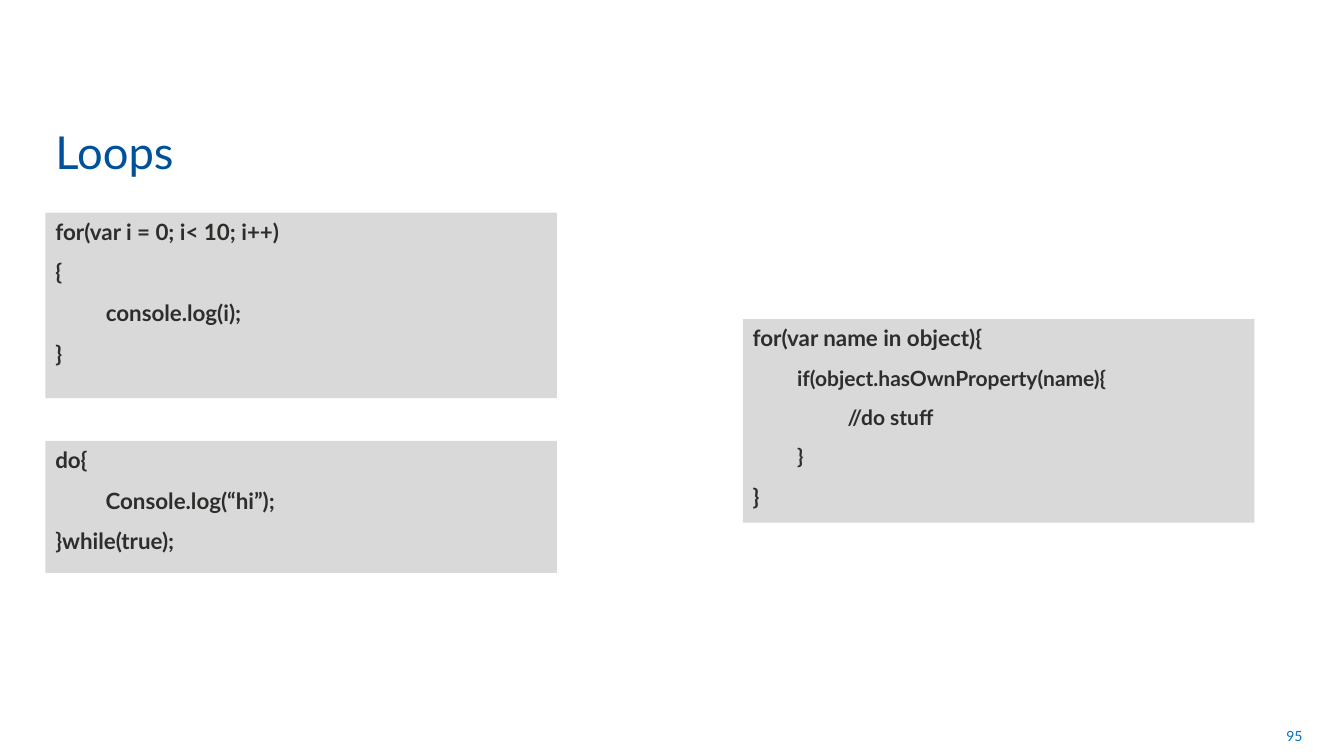
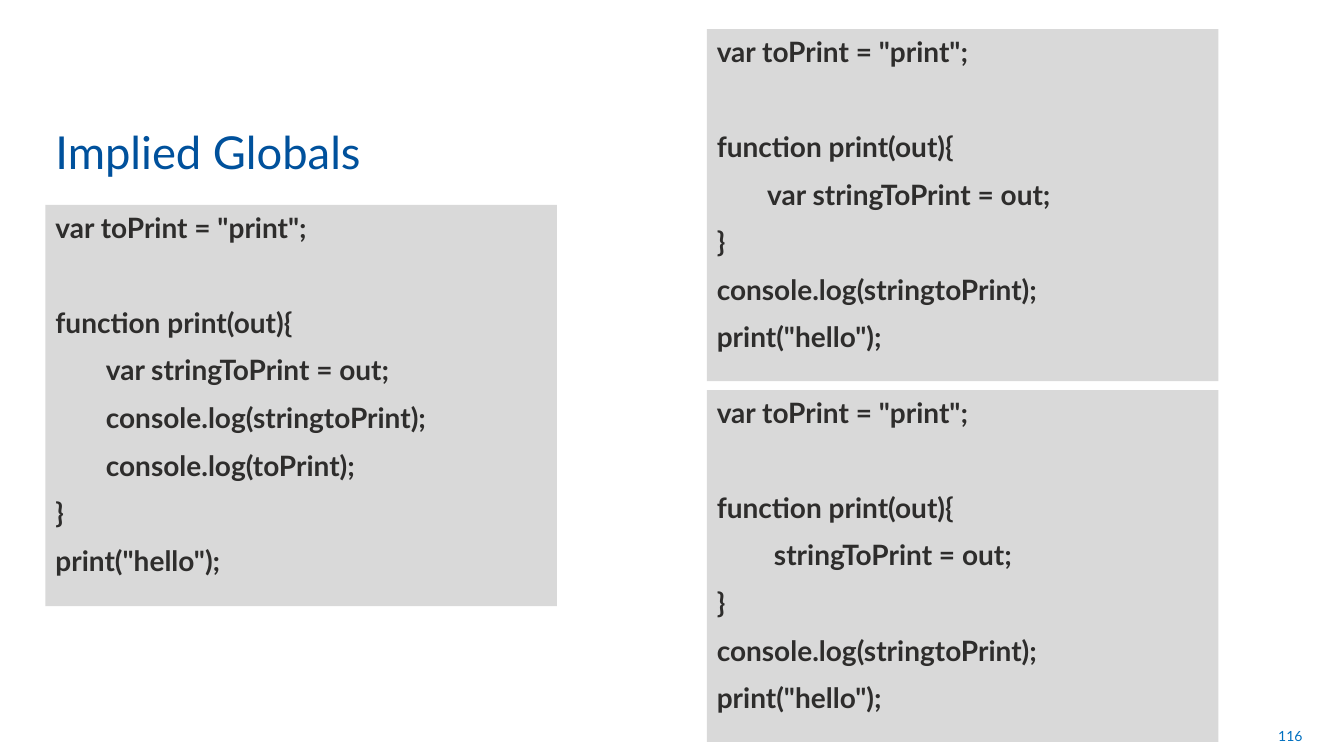
from pptx import Presentation
from pptx.dml.color import RGBColor
from pptx.enum.shapes import MSO_SHAPE
from pptx.enum.text import MSO_ANCHOR, MSO_AUTO_SIZE, PP_ALIGN
from pptx.oxml.ns import qn
from pptx.util import Pt
from lxml import etree

RECTANGLE = MSO_SHAPE.RECTANGLE
TOP, MIDDLE, BOTTOM = MSO_ANCHOR.TOP, MSO_ANCHOR.MIDDLE, MSO_ANCHOR.BOTTOM
LEFT, RIGHT = PP_ALIGN.LEFT, PP_ALIGN.RIGHT
NO_AUTOFIT = MSO_AUTO_SIZE.NONE

FONT = "Lato"
COLORS = {"title": "00519C", "number": "0070C0", "code": "2E2D2C", "panel": "D9D9D9"}
MARGIN = 32.4
TITLE_BOX = (MARGIN, 81.4, 718.6, 49.7)
NUMBER_BOX = (713.5, 511.2, 223.9, 28.8)
PANEL_WIDTH = 365.4
SPACE_BEFORE, SPACE_AFTER = 2, 8
LINE_HEIGHT = 1.2
NESTED_INDENT = 31.7

PRINT_START = ['var toPrint = "print";', "", "function print(out){"]
PRINT_CALL = 'print("hello");'
LOG_STRING = "console.log(stringtoPrint);"

SLIDES = [
    {
        "title": "Loops",
        "number": "95",
        "sizes": (16, 15),
        "panels": [
            {"box": (MARGIN, 151.9, PANEL_WIDTH, 132.5),
             "lines": ["for(var i = 0; i< 10; i++)", "{", "\tconsole.log(i);", "}"]},
            {"box": (MARGIN, 314.9, PANEL_WIDTH, 94.3),
             "lines": ["do{", "\tConsole.log(“hi”);", "}while(true);"]},
            {"box": (530.6, 228, PANEL_WIDTH, 145.4),
             "lines": ["for(var name in object){", "if(object.hasOwnProperty(name){",
                       "\t//do stuff", "}", "}"],
             "nested": (1, 2, 3)},
        ],
    },
    {
        "title": "Implied Globals",
        "number": "116",
        "sizes": (20, 20),
        "panels": [
            {"box": (MARGIN, 146.4, PANEL_WIDTH, 286.6),
             "lines": PRINT_START + ["\tvar stringToPrint = out;", "\t" + LOG_STRING,
                                     "\tconsole.log(toPrint);", "}", PRINT_CALL]},
            {"box": (504.9, 20.9, PANEL_WIDTH, 251.3),
             "lines": PRINT_START + ["\tvar stringToPrint = out;", "}", LOG_STRING, PRINT_CALL]},
            {"box": (504.9, 278.6, PANEL_WIDTH, 251.3),
             "lines": PRINT_START + ["\t stringToPrint = out;", "}", LOG_STRING, PRINT_CALL]},
        ],
    },
]


def color(name):
    return RGBColor.from_string(COLORS[name])


def place(shape, box):
    shape.left, shape.top, shape.width, shape.height = map(Pt, box)


def set_font(paragraph, size, color_name, bold=False):
    font = paragraph.font
    font.name, font.size, font.bold = FONT, Pt(size), bold
    font.color.rgb = color(color_name)


def prepare_frame(shape, anchor):
    frame = shape.text_frame
    frame.word_wrap = True
    frame.auto_size = NO_AUTOFIT
    frame.vertical_anchor = anchor
    return frame


def write_label(shape, text, size, color_name, anchor, alignment):
    paragraph = prepare_frame(shape, anchor).paragraphs[0]
    paragraph.text = text
    paragraph.alignment = alignment
    set_font(paragraph, size, color_name)


def fill_panel(shape, panel, sizes):
    place(shape, panel["box"])
    shape.fill.solid()
    shape.fill.fore_color.rgb = color("panel")
    shape.line.fill.background()
    frame = prepare_frame(shape, TOP)
    gap = 0
    for index, line in enumerate(panel["lines"]):
        if not line:
            gap += sizes[0] * LINE_HEIGHT + SPACE_BEFORE + SPACE_AFTER
            continue
        paragraph = frame.add_paragraph() if index else frame.paragraphs[0]
        level = int(index in panel.get("nested", ()))
        paragraph.text = line
        paragraph.level = level
        paragraph.alignment = LEFT
        properties = paragraph._p.get_or_add_pPr()
        properties.set("marL", str(Pt(NESTED_INDENT * level)))
        properties.set("indent", "0")
        etree.SubElement(properties, qn("a:buNone"))
        paragraph.line_spacing = 1.0
        paragraph.space_before = Pt(SPACE_BEFORE + gap if index else 0)
        paragraph.space_after = Pt(SPACE_AFTER)
        set_font(paragraph, sizes[level], "code", bold=True)
        gap = 0


def build_slide(presentation, content):
    slide = presentation.slides.add_slide(presentation.slide_layouts[1])
    number = slide.shapes.add_textbox(*map(Pt, NUMBER_BOX))
    write_label(number, content["number"], 10, "number", MIDDLE, RIGHT)
    title = slide.shapes.title
    place(title, TITLE_BOX)
    write_label(title, content["title"], 32.4, "title", BOTTOM, LEFT)
    first, *others = content["panels"]
    fill_panel(slide.placeholders[1], first, content["sizes"])
    for panel in others:
        shape = slide.shapes.add_shape(RECTANGLE, *map(Pt, panel["box"]))
        shape.shadow.inherit = False
        fill_panel(shape, panel, content["sizes"])


def main():
    presentation = Presentation()
    presentation.slide_width, presentation.slide_height = Pt(960), Pt(540)
    for content in SLIDES:
        build_slide(presentation, content)
    presentation.save("out.pptx")


if __name__ == "__main__":
    main()
